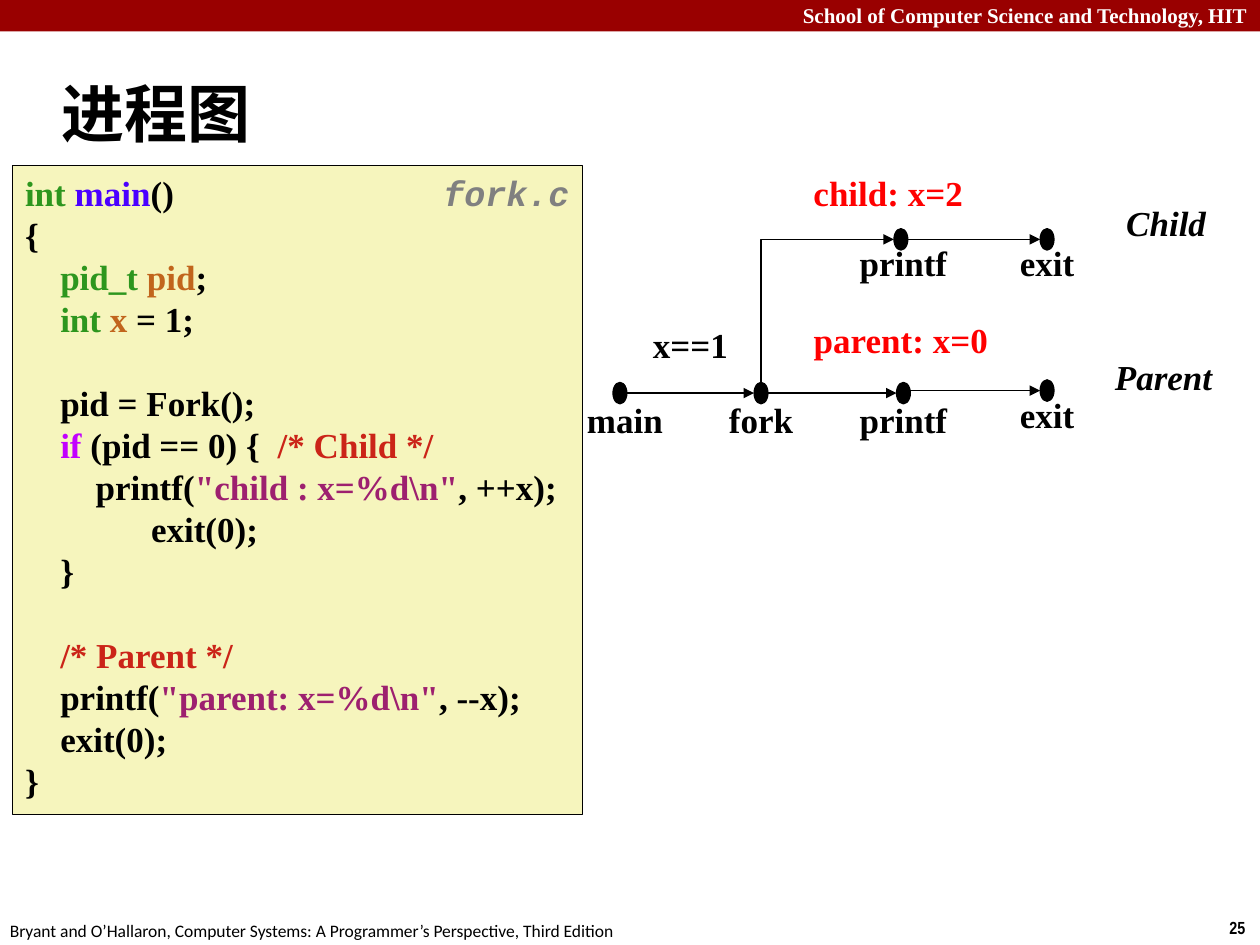
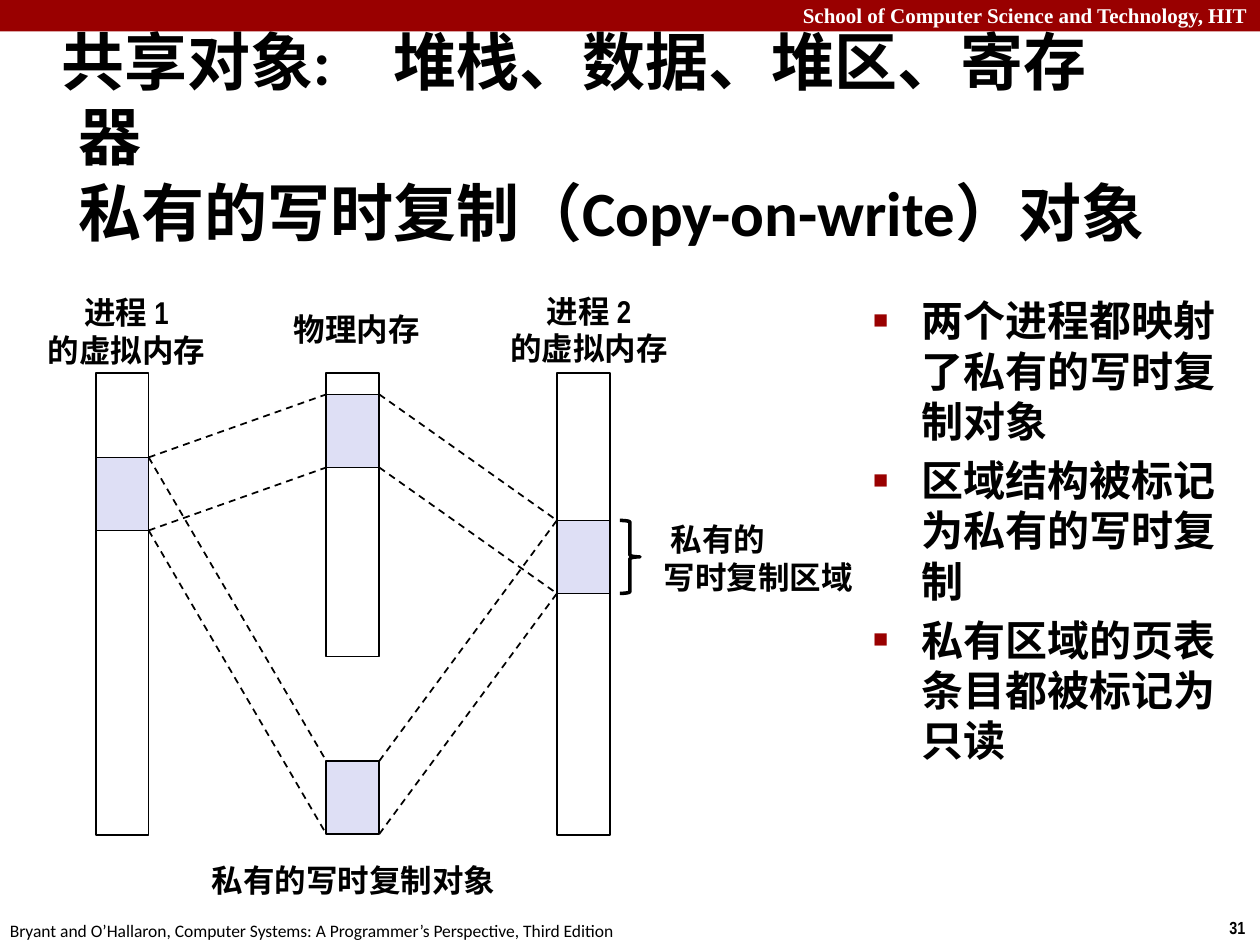
from lxml import etree
from pptx import Presentation
from pptx.dml.color import RGBColor
from pptx.enum.dml import MSO_LINE
from pptx.enum.shapes import MSO_CONNECTOR, MSO_SHAPE
from pptx.enum.text import MSO_ANCHOR, MSO_AUTO_SIZE, PP_ALIGN
from pptx.oxml.ns import qn
from pptx.util import Inches, Pt

RECTANGLE, OVAL, BRACE = MSO_SHAPE.RECTANGLE, MSO_SHAPE.OVAL, MSO_SHAPE.RIGHT_BRACE
STRAIGHT, ELBOW = MSO_CONNECTOR.STRAIGHT, MSO_CONNECTOR.ELBOW
LEFT, CENTER, RIGHT = PP_ALIGN.LEFT, PP_ALIGN.CENTER, PP_ALIGN.RIGHT
TOP, MIDDLE = MSO_ANCHOR.TOP, MSO_ANCHOR.MIDDLE
DASH = MSO_LINE.DASH
NO_FIT = MSO_AUTO_SIZE.NONE

BLACK = RGBColor(0x00, 0x00, 0x00)
WHITE = RGBColor(0xFF, 0xFF, 0xFF)
CRIMSON = RGBColor(0x99, 0x00, 0x00)
RED = RGBColor(0xFF, 0x00, 0x00)
GRAY = RGBColor(0x80, 0x80, 0x80)
CREAM = RGBColor(0xF6, 0xF5, 0xBD)
LAVENDER = RGBColor(0xDE, 0xDF, 0xF5)
TYPE_GREEN = RGBColor(0x2D, 0x96, 0x1E)
NAME_BLUE = RGBColor(0x4A, 0x00, 0xFF)
VARIABLE_BROWN = RGBColor(0xC1, 0x65, 0x1C)
KEYWORD_PURPLE = RGBColor(0xC2, 0x00, 0xFF)
COMMENT_RED = RGBColor(0xCB, 0x24, 0x18)
STRING_PLUM = RGBColor(0x9D, 0x20, 0x6F)

SERIF, SANS, NARROW, MONO = "Times New Roman", "Calibri", "Arial Narrow", "Courier New"
TITLE_AND_CONTENT, TITLE_ONLY = 1, 5
CODE_LINE = 24


def add_xml(parent, tag, **attributes):
    return etree.SubElement(parent, qn(tag), attributes)


def set_indent(para, left, first=0):
    properties = para._p.get_or_add_pPr()
    properties.set("marL", str(Inches(left)))
    properties.set("indent", str(Inches(first)))
    return properties


class SlideWriter:
    def __init__(self, deck):
        self.deck = deck
        self.page = None

    def start(self, layout, number):
        self.page = self.deck.slides.add_slide(self.deck.slide_layouts[layout])
        self.shape(RECTANGLE, 0, 0, 10, 0.25, CRIMSON)
        self.text(9.66, 7.23, 0.34, 0.27, [number], NARROW, 10, align=LEFT)
        self.text(0, -0.03, 10, 0.3, ["School of Computer Science and Technology, HIT"],
                  SERIF, 12, WHITE, align=RIGHT)
        self.text(-0.02, 7.25, 5.08, 0.27,
                  ["Bryant and O’Hallaron, Computer Systems: A Programmer’s Perspective, Third Edition"],
                  SANS, 10, align=LEFT, bold=False)

    def place(self, box, left, top, width, height):
        box.left, box.top = Inches(left), Inches(top)
        box.width, box.height = Inches(width), Inches(height)

    def font(self, para, name, size, color=BLACK, bold=True, italic=False):
        para.font.name, para.font.size = name, Pt(size)
        para.font.bold, para.font.italic = bold, italic
        para.font.color.rgb = color

    def title(self, text, width, height, tab=None):
        box = self.page.shapes.title
        self.place(box, 0.39, 0.48, width, height)
        frame = box.text_frame
        frame.auto_size, frame.vertical_anchor = NO_FIT, MIDDLE
        para = frame.paragraphs[0]
        para.text, para.alignment = text, LEFT
        properties = set_indent(para, 0.13, -0.13)
        if tab:
            stops = add_xml(properties, "a:tabLst")
            add_xml(stops, "a:tab", pos=str(Inches(tab)), algn="l")
        self.font(para, SANS, 36)

    def bullets(self, left, top, width, height, items):
        box = self.page.placeholders[1]
        self.place(box, left, top, width, height)
        frame = box.text_frame
        frame.auto_size = NO_FIT
        frame.text = "\n".join(items)
        for para in frame.paragraphs:
            properties = set_indent(para, 0.38, -0.38)
            color = add_xml(properties, "a:buClr")
            add_xml(color, "a:srgbClr", val=str(CRIMSON))
            add_xml(properties, "a:buSzPct", val="60000")
            add_xml(properties, "a:buChar", char="■")
            self.font(para, SANS, 24)

    def text(self, left, top, width, height, lines, name, size, color=BLACK,
             align=CENTER, anchor=TOP, bold=True, italic=False):
        box = self.page.shapes.add_textbox(Inches(left), Inches(top), Inches(width), Inches(height))
        frame = box.text_frame
        frame.word_wrap, frame.vertical_anchor = align == RIGHT, anchor
        frame.text = "\n".join(lines)
        for para in frame.paragraphs:
            para.alignment = align
            self.font(para, name, size, color, bold, italic)

    def shape(self, kind, left, top, width, height, fill=None, line=None):
        box = self.page.shapes.add_shape(kind, Inches(left), Inches(top), Inches(width), Inches(height))
        box.shadow.inherit = False
        if fill is None:
            box.fill.background()
        else:
            box.fill.solid()
            box.fill.fore_color.rgb = fill
        if line is None:
            box.line.fill.background()
        else:
            box.line.color.rgb, box.line.width = BLACK, Pt(line)
        return box

    def code(self, left, top, width, height, lines):
        box = self.shape(RECTANGLE, left, top, width, height, CREAM, 0.25)
        frame = box.text_frame
        frame.word_wrap, frame.vertical_anchor = False, TOP
        for index, (indent, blank_above, spans) in enumerate(lines):
            para = frame.add_paragraph() if index else frame.paragraphs[0]
            para.alignment, para.line_spacing = LEFT, Pt(CODE_LINE)
            para.space_before = Pt(CODE_LINE * blank_above)
            set_indent(para, indent)
            self.font(para, SERIF, 20)
            for words, color in spans:
                span = para.add_run()
                span.text = words
                span.font.color.rgb = color

    def line(self, start, end, kind=STRAIGHT, arrow=None, dash=None):
        points = [Inches(value) for value in (*start, *end)]
        link = self.page.shapes.add_connector(kind, *points)
        link.line.color.rgb, link.line.width = BLACK, Pt(1)
        if dash:
            link.line.dash_style = dash
        properties = link.element.spPr
        if kind == ELBOW:
            properties.find(qn("a:prstGeom")).set("prst", "bentConnector2")
        if arrow:
            add_xml(properties.find(qn("a:ln")), arrow, type="triangle")
        add_xml(properties, "a:effectLst")


def process_graph(writer):
    writer.start(TITLE_ONLY, "25")
    writer.title("进程图", 8.3, 0.83)
    step = 0.28
    writer.code(0.1, 1.31, 4.52, 5.15, [
        (0, 0, [("int ", TYPE_GREEN), ("main", NAME_BLUE), ("()", BLACK)]),
        (0, 0, [("{", BLACK)]),
        (step, 0, [("pid_t ", TYPE_GREEN), ("pid", VARIABLE_BROWN), (";", BLACK)]),
        (step, 0, [("int ", TYPE_GREEN), ("x", VARIABLE_BROWN), (" = 1;", BLACK)]),
        (step, 1, [("pid = Fork();", BLACK)]),
        (step, 0, [("if", KEYWORD_PURPLE), (" (pid == 0) {  ", BLACK), ("/* Child */", COMMENT_RED)]),
        (2 * step, 0, [("printf(", BLACK), ('"child : x=%d\\n"', STRING_PLUM), (", ++x);", BLACK)]),
        (1, 0, [("exit(0);", BLACK)]),
        (step, 0, [("}", BLACK)]),
        (step, 1, [("/* Parent */", COMMENT_RED)]),
        (step, 0, [("printf(", BLACK), ('"parent: x=%d\\n"', STRING_PLUM), (", --x);", BLACK)]),
        (step, 0, [("exit(0);", BLACK)]),
        (0, 0, [("}", BLACK)]),
    ])
    writer.text(3.42, 1.31, 1.21, 0.42, ["fork.c"], MONO, 20, GRAY, LEFT, italic=True)

    node_width, node_height = 0.11, 0.17
    radius = node_width / 2
    main, fork, parent_print, parent_exit = (4.92, 3.12), (6.04, 3.12), (7.17, 3.12), (8.31, 3.1)
    child_print, child_exit = (7.15, 1.9), (8.31, 1.9)
    for x, y in (main, fork, parent_print, parent_exit, child_print, child_exit):
        writer.shape(OVAL, x - radius, y - node_height / 2, node_width, node_height, BLACK, 0.75)
    for start, end in ((main, fork), (fork, parent_print), (parent_print, parent_exit),
                       (child_print, child_exit)):
        writer.line((start[0] + radius, end[1]), (end[0] - radius, end[1]), arrow="a:tailEnd")
    writer.line((child_print[0] - radius, child_print[1]), fork, ELBOW, "a:headEnd")

    node_label, value_label = 1.15, 2.24
    for words, center, top, width, color in (
            ("main", 4.96, 3.11, node_label, BLACK), ("fork", 6.04, 3.11, node_label, BLACK),
            ("printf", 7.17, 3.11, node_label, BLACK), ("exit", 8.31, 3.07, node_label, BLACK),
            ("printf", 7.17, 1.87, node_label, BLACK), ("exit", 8.31, 1.87, node_label, BLACK),
            ("x==1", 5.48, 2.52, node_label, BLACK),
            ("child: x=2", 7.05, 1.31, value_label, RED),
            ("parent: x=0", 7.15, 2.48, value_label, RED)):
        writer.text(center - width / 2, top, width, 0.75, [words], SERIF, 20, color)
    for words, left, top, width in (("Parent", 8.75, 2.77, 1.15), ("Child", 8.84, 1.55, 0.94)):
        writer.text(left, top, width, 0.75, [words], SERIF, 20, align=LEFT, italic=True)


def copy_on_write(writer):
    writer.start(TITLE_AND_CONTENT, "31")
    writer.title("共享对象:\t堆栈、数据、堆区、寄存\v器\v私有的写时复制（Copy-on-write）对象",
                 9.11, 1.19, tab=3.05)
    writer.bullets(6.83, 2.29, 3.17, 4.58, [
        "两个进程都映射了私有的写时复制对象",
        "区域结构被标记为私有的写时复制",
        "私有区域的页表条目都被标记为只读",
    ])

    bar_width, region_height, bar_top = 0.42, 0.58, 2.96
    first, memory, second = (0.76 + 1.83 * column for column in range(3))
    first_top, second_top, memory_top, object_top = 3.63, 4.13, 3.13, 6.04
    for left, height in ((first, 3.67), (memory, 2.25), (second, 3.67)):
        writer.shape(RECTANGLE, left, bar_top, bar_width, height, line=1)
    for left, top in ((first, first_top), (second, second_top),
                      (memory, memory_top), (memory, object_top)):
        writer.shape(RECTANGLE, left, top, bar_width, region_height, LAVENDER, 1)
    for target in (memory_top, object_top):
        for edge in (0, region_height):
            writer.line((first + bar_width, first_top + edge), (memory, target + edge), dash=DASH)
            writer.line((memory + bar_width, target + edge), (second, second_top + edge), dash=DASH)
    writer.shape(BRACE, 4.92, second_top, 0.16, region_height, line=2)

    for left, top, width, height, lines, align in (
            (0.27, 2.27, 1.47, 0.71, ["进程 1", "的虚拟内存"], CENTER),
            (2.22, 2.41, 1.22, 0.4, ["物理内存"], CENTER),
            (3.94, 2.26, 1.47, 0.71, ["进程 2", "的虚拟内存"], CENTER),
            (5.17, 4.07, 1.73, 0.71, [" 私有的", "写时复制区域"], LEFT),
            (1.53, 6.78, 2.55, 0.4, ["私有的写时复制对象"], CENTER)):
        writer.text(left, top, width, height, lines, NARROW, 18, align=align, anchor=MIDDLE)


def main():
    deck = Presentation()
    deck.slide_width, deck.slide_height = Inches(10), Inches(7.5)
    writer = SlideWriter(deck)
    process_graph(writer)
    copy_on_write(writer)
    deck.save("out.pptx")


if __name__ == "__main__":
    main()
